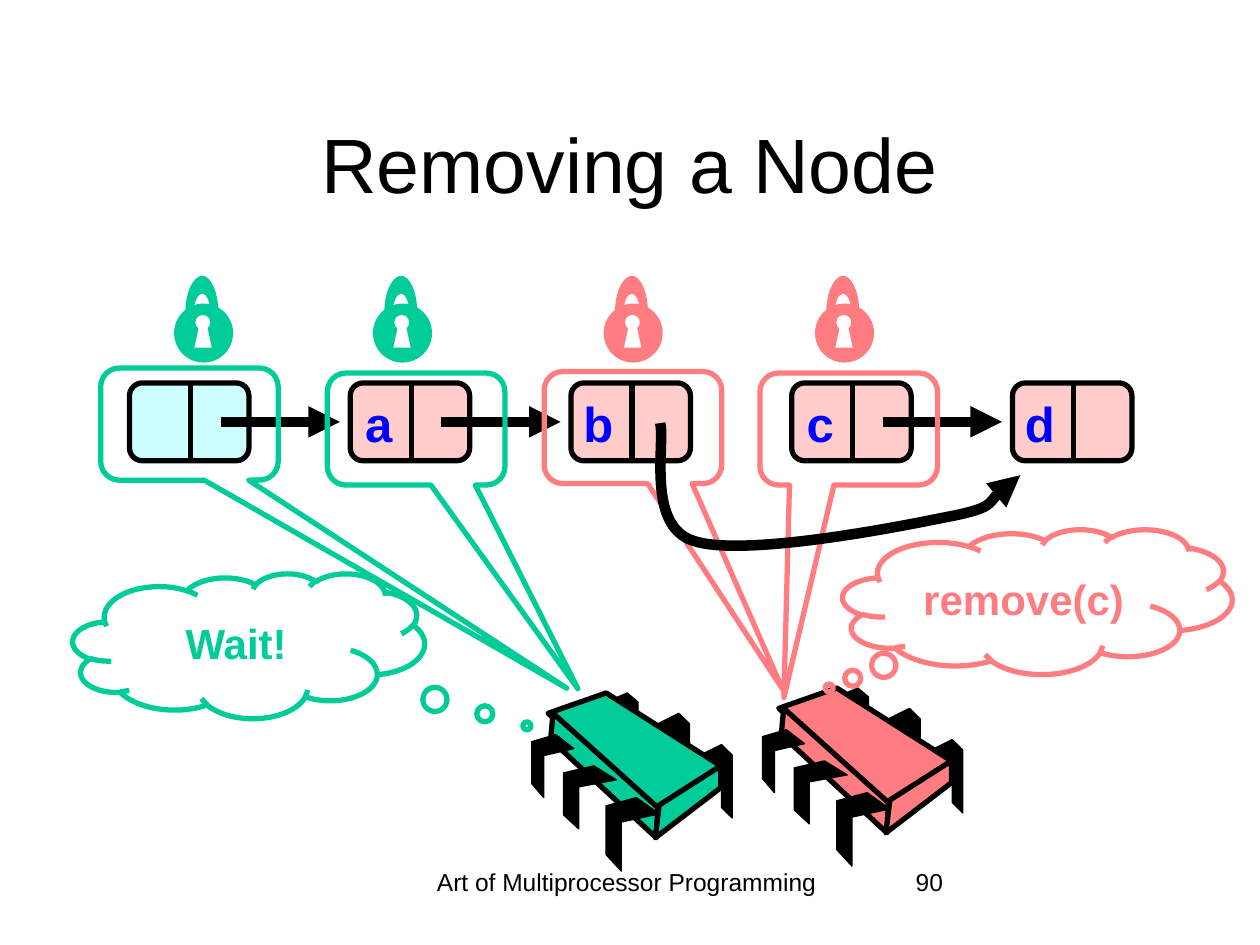
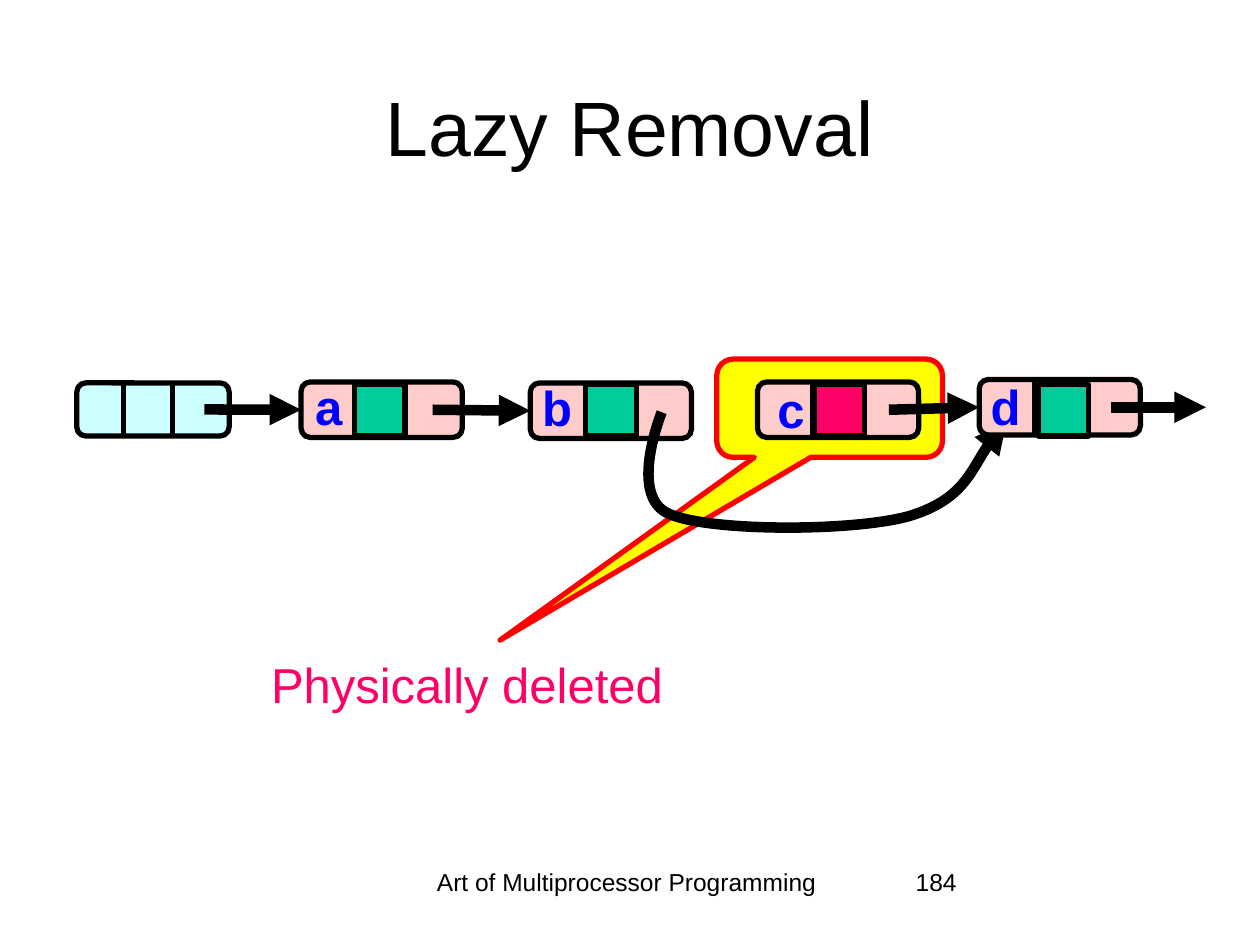
"""Build two slides on removing nodes from a linked list."""
from itertools import islice

from pptx import Presentation, util as u
from pptx.dml.color import RGBColor
from pptx.enum import shapes, text
from pptx.oxml import ns, xmlchemy

COLOURS = {
    "black": "000000", "white": "FFFFFF", "blue": "0000FF", "green": "00CC99",
    "pink": "FF7C80", "rose": "FFCCCC", "cyan": "CCFFFF", "yellow": "FFFF00",
    "red": "FF0000", "magenta": "FF0066",
}
BACK_PIN = [(0, 1), (2, 0), (3, 1), (3, 7), (2, 6), (2, 2), (0, 3)]
BACK_PIN_BOXES = [(3.4, 1.04, 0.64, 1.48), (2.54, 0.41, 0.64, 1.48), (1.5, 0, 0.64, 1.27)]
FRONT_PIN = [(4, 0), (7, 2), (2, 3), (2, 9), (0, 7), (0, 1)]
FRONT_PIN_BOXES = [(1.5, 2.11, 1.07, 1.48), (0.64, 1.47, 1.07, 1.27), (0, 0.84, 0.85, 1.27)]
CHIP_FACES = [
    [(1.5, 0), (3.81, 1.47), (2.51, 2.36), (0.33, 0.41)],
    [(0.43, 0.41), (2.54, 2.31), (2.51, 2.92), (0.38, 0.94)],
    [(3.81, 1.47), (3.81, 1.91), (2.49, 2.92), (2.57, 2.26)],
]
KEYHOLE = [(0.41, 1.45), (0.51, 0.99), (0.66, 0.99), (0.76, 1.45)]
SHACKLE = [
    (0.4, 0.71),
    ((0.4, 0.53), (0.48, 0.36), (0.57, 0.36)),
    ((0.65, 0.36), (0.73, 0.53), (0.73, 0.71)),
    (0.89, 0.71),
    ((0.89, 0.33), (0.74, 0), (0.57, 0)),
    ((0.39, 0), (0.23, 0.33), (0.23, 0.71)),
]


def colour(name):
    return RGBColor.from_string(COLOURS[name])


def set_all(target, values):
    for name, value in values.items():
        setattr(target, name, value)


class Deck:
    def __init__(self):
        self.presentation = Presentation()
        set_all(self.presentation, {"slide_width": u.Cm(25.4), "slide_height": u.Cm(19.05)})
        self.canvas = None

    def new_slide(self, title, title_top, number):
        self.slide = self.presentation.slides.add_slide(self.presentation.slide_layouts[6])
        self.canvas = self.slide.shapes
        self.label("Art of Multiprocessor Programming", (7.87, 17.35, 9.53, 1.27), 14, align="CENTER")
        self.label(number, (18.21, 17.35, 5.28, 1.27), 14)
        self.label(title, (1.9, title_top, 21.59, 3.18), 44, align="CENTER", anchor="MIDDLE")

    def group(self):
        self.canvas = self.slide.shapes.add_group_shape().shapes

    def ungroup(self):
        self.canvas = self.slide.shapes

    def fill_text(self, shape, words, size, ink, bold, align, anchor, wrap=True):
        frame = shape.text_frame
        set_all(frame, {"word_wrap": wrap, "vertical_anchor": getattr(text.MSO_ANCHOR, anchor)})
        if not wrap:
            frame.auto_size = text.MSO_AUTO_SIZE.SHAPE_TO_FIT_TEXT
        paragraph = frame.paragraphs[0]
        paragraph.text = words
        paragraph.alignment = getattr(text.PP_ALIGN, align)
        set_all(paragraph.runs[0].font, {"name": "Arial", "size": u.Pt(size), "bold": bold})
        paragraph.runs[0].font.color.rgb = colour(ink)

    def label(self, words, box, size, ink="black", bold=False, align="LEFT", anchor="TOP", wrap=True):
        shape = self.canvas.add_textbox(*map(u.Cm, box))
        self.fill_text(shape, words, size, ink, bold, align, anchor, wrap)

    def letter(self, words, left, top):
        self.label(words, (left, top, 1.1, 1.45), 28, "blue", True, "RIGHT", wrap=False)

    def paint(self, shape, fill, line, weight):
        shape.shadow.inherit = False
        for part, ink in ((shape.fill, fill), (shape.line.fill, line)):
            if ink:
                part.solid()
                part.fore_color.rgb = colour(ink)
            else:
                part.background()
        if line:
            shape.line.width = u.Pt(weight)

    def shape(self, kind, box, fill=None, line=None, adjustments=()):
        shape = self.canvas.add_shape(getattr(shapes.MSO_SHAPE, kind), *map(u.Cm, box))
        self.paint(shape, fill, line, 3)
        for index, value in enumerate(adjustments):
            shape.adjustments[index] = value
        return shape

    def callout(self, box, tip, line, fill=None):
        self.shape("ROUNDED_RECTANGULAR_CALLOUT", box, fill, line, (*tip, 0.167))

    def cloud(self, words, box, tip, ink):
        shape = self.shape("CLOUD_CALLOUT", box, None, ink, tip)
        self.fill_text(shape, words, 24, ink, True, "CENTER", "MIDDLE")

    def arrowhead(self, shape):
        tail = xmlchemy.OxmlElement("a:tailEnd")
        tail.set("type", "triangle")
        shape.element.spPr.get_or_add_ln().append(tail)

    def line(self, start, end, weight=3, arrow=False):
        connector = self.canvas.add_connector(shapes.MSO_CONNECTOR.STRAIGHT, *map(u.Cm, (*start, *end)))
        connector.line.color.rgb = colour("black")
        connector.line.width = u.Pt(weight)
        if arrow:
            self.arrowhead(connector)
        connector.element.spPr.append(xmlchemy.OxmlElement("a:effectLst"))
        return connector

    def outline(self, steps, origin=(0, 0), fill=None, line=None, weight=3, closed=True):
        def place(point):
            return tuple(u.Cm(base + offset) for base, offset in zip(origin, point))

        points = []
        for step in steps[1:]:
            points.extend(map(place, step if len(step) == 3 else [step]))
        builder = self.canvas.build_freeform(*place(steps[0]))
        builder.add_line_segments(points, close=closed)
        shape = builder.convert_to_shape()
        segments = iter(list(shape.element.iter(ns.qn("a:lnTo"))))
        for step in steps[1:]:
            parts = list(islice(segments, 3 if len(step) == 3 else 1))
            if len(parts) == 3:
                curve = xmlchemy.OxmlElement("a:cubicBezTo")
                parts[0].addprevious(curve)
                for part in parts:
                    curve.append(part[0])
                    part.getparent().remove(part)
        self.paint(shape, fill, line, weight)
        return shape

    def curved_arrow(self, steps):
        self.arrowhead(self.outline(steps, line="black", weight=6, closed=False))

    def node(self, box, fill, dividers, arrow_start=None, arrow_length=0):
        left, top, width, height = box
        shape = self.shape("ROUNDED_RECTANGLE", box, fill, "black", (0.167,))
        for divider in dividers:
            self.line((left + divider, top), (left + divider, top + height))
        if arrow_start is None:
            return shape, None
        start, middle = left + arrow_start, top + height / 2
        return shape, self.line((start, middle), (start + arrow_length, middle), 6, True)

    def pins(self, grid_outline, columns, rows, boxes, origin):
        for left, top, width, height in boxes:
            points = [(left + x * width / columns, top + y * height / rows) for x, y in grid_outline]
            self.outline(points, origin, "black", "black", 0.75)

    def chip(self, origin, ink):
        self.group()
        self.pins(BACK_PIN, 3, 7, BACK_PIN_BOXES, origin)
        for face in CHIP_FACES:
            self.outline(face, origin, ink, "black")
        self.pins(FRONT_PIN, 7, 9, FRONT_PIN_BOXES, origin)
        self.ungroup()

    def lock(self, left, ink, top=5.56):
        self.group()
        self.shape("OVAL", (left, top + 0.56, 1.19, 1.19), ink)
        self.shape("OVAL", (left + 0.43, top + 0.79, 0.3, 0.3), "white")
        self.outline(KEYHOLE, (left, top), "white")
        self.outline(SHACKLE, (left, top), ink)
        self.ungroup()


def removing_a_node(deck):
    deck.new_slide("Removing a Node", 1.7, "90")
    for index, name in enumerate(["", "a", "b", "c", "d"]):
        left = 2.61 + 4.45 * index
        fill = "rose" if name else "cyan"
        arrow_start = None if name in ("b", "d") else 1.84
        deck.node((left, 7.72, 2.41, 1.57), fill, [1.23], arrow_start, 2.4)
        if name:
            deck.letter(name, left, 7.8)
    deck.chip((10.72, 13.97), "green")
    deck.chip((15.37, 13.87), "pink")
    for left, top, tip, ink in [
        (6.6, 7.52, (0.911, 2.317), "green"), (2.03, 7.42, (2.125, 2.356), "green"),
        (10.97, 7.49, (0.842, 2.332), "pink"), (15.32, 7.52, (-0.365, 2.395), "pink"),
    ]:
        deck.callout((left, top, 3.58, 2.26), tip, ink)
    for left, ink in [(3.51, "green"), (7.52, "green"), (12.17, "pink"), (16.43, "pink")]:
        deck.lock(left, ink)
    deck.cloud("Wait!", (1.47, 11.56, 7.09, 2.92), (0.791, 0.553), "green")
    deck.curved_arrow([
        (13.31, 8.53),
        ((13.41, 8.94), (13.03, 10.59), (13.97, 10.9)),
        ((14.91, 11.23), (17.88, 10.67), (19, 10.44)),
        ((20.09, 10.24), (20.24, 9.75), (20.57, 9.58)),
    ])
    deck.cloud("remove(c)", (16.99, 10.67, 7.85, 2.92), (-0.535, 0.596), "pink")


def lazy_removal(deck):
    deck.new_slide("Lazy Removal", 0.95, "184")
    deck.callout((14.45, 7.24, 4.55, 1.98), (-1.46, 2.362), "red", "yellow")
    previous_arrow = deck.node((1.55, 7.72, 3.07, 1.07), "cyan", [0.94, 1.93], 2.57, 1.92)[1]
    for name, left, top, letter_left, letter_top, mark_left, mark in [
        ("a", 6.07, 7.7, 6.05, 7.47, 7.14, "green"),
        ("b", 10.69, 7.72, 10.68, 7.49, 11.81, "green"),
        ("c", 15.27, 7.7, 15.37, 7.52, 16.41, "magenta"),
        ("d", 19.74, 7.65, 19.72, 7.47, 20.93, "green"),
    ]:
        if name == "d":
            deck.curved_arrow([
                (13.34, 8.31),
                ((13.34, 8.31), (12.65, 10.01), (13.49, 10.36)),
                ((14.3, 10.72), (17.17, 10.72), (18.31, 10.41)),
                ((19.43, 10.08), (19.86, 8.89), (20.29, 8.51)),
            ])
        arrow_start = None if name == "b" else 2.65
        node, arrow = deck.node((left, top, 3.25, 1.12), "rose", [1.12, 2.11], arrow_start, 1.92)
        if previous_arrow is not None:
            previous_arrow.end_connect(node, 1)
        previous_arrow = arrow
        deck.letter(name, letter_left, letter_top)
        deck.shape("RECTANGLE", (mark_left, 7.75, 1.02, 1.04), mark, "black")
    deck.label("Physically deleted", (4.85, 13.06, 8.76, 1.45), 28, "magenta", align="RIGHT", wrap=False)


def main():
    deck = Deck()
    removing_a_node(deck)
    lazy_removal(deck)
    deck.presentation.save("out.pptx")


if __name__ == "__main__":
    main()
